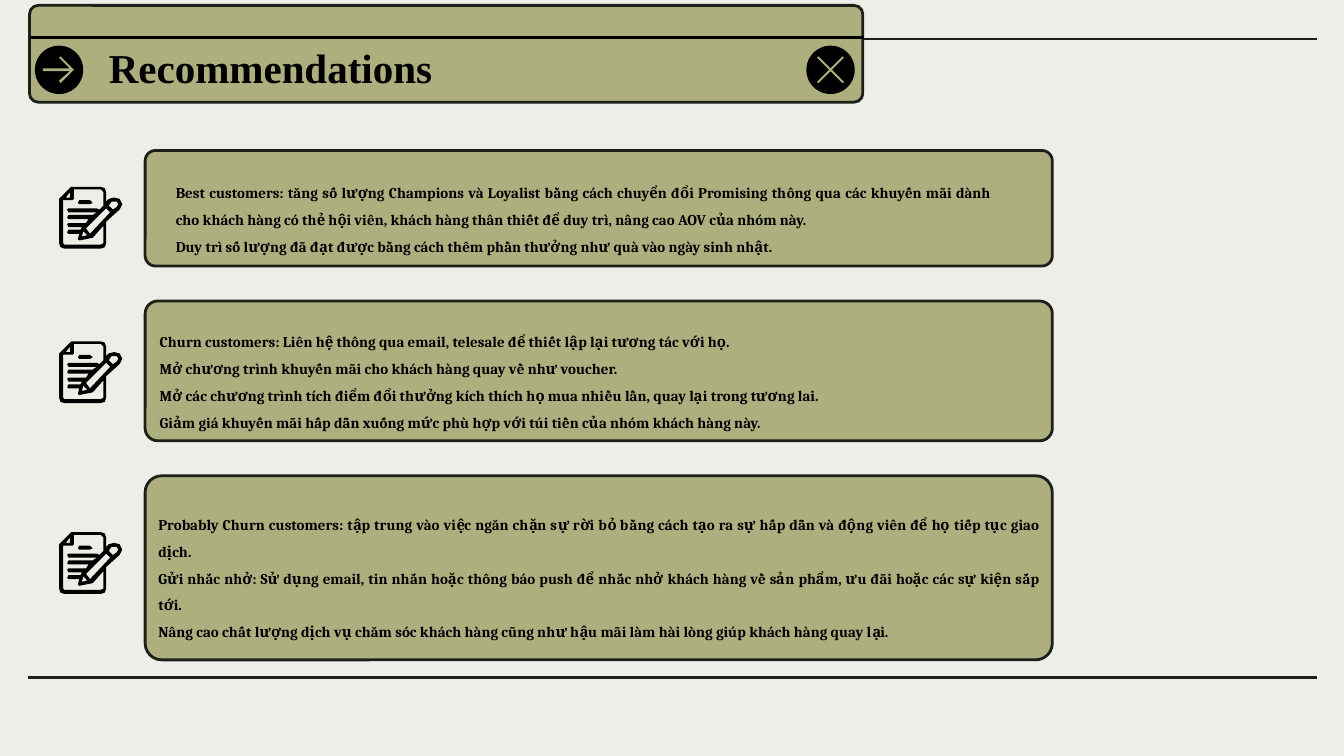
import dataclasses
import typing

import pptx
import pptx.dml.color
import pptx.enum.shapes
import pptx.enum.text
import pptx.oxml
import pptx.oxml.ns
import pptx.util

# The 16:9 page is a grid of square cells, 1000 columns wide
CELL = pptx.util.Inches(0.01)
PAGE_WIDTH = 1000 * CELL
PAGE_HEIGHT = PAGE_WIDTH * 9 // 16

PAPER = pptx.dml.color.RGBColor(0xEE, 0xEE, 0xE9)
OLIVE = pptx.dml.color.RGBColor(0xAD, 0xAF, 0x7E)
INK = pptx.dml.color.RGBColor(0x1B, 0x21, 0x19)
BLACK = pptx.dml.color.RGBColor(0, 0, 0)

TITLE_FONT = {"name": "Times New Roman", "size": pptx.util.Pt(22), "bold": True}
BODY_FONT = {"name": "Cambria", "size": pptx.util.Pt(8), "bold": True}

SHAPE = pptx.enum.shapes.MSO_SHAPE
ALIGN = pptx.enum.text.PP_ALIGN
ANCHOR = pptx.enum.text.MSO_ANCHOR

Contour = list[tuple[int, int]]


class Frame(typing.NamedTuple):
    column: int
    row: int
    columns: int
    rows: int

    def lengths(self) -> list[int]:
        return [value * CELL for value in self]


@dataclasses.dataclass
class Recommendation:
    card: Frame
    text: Frame
    icon_row: int
    lines: list[str]


@dataclasses.dataclass
class Badge:
    column: int
    symbol_column: int
    symbol: Contour


@dataclasses.dataclass
class Rule:
    first: int
    last: int
    row: int
    color: pptx.dml.color.RGBColor


RULES = [Rule(21, 980, 504, INK), Rule(21, 980, 29, INK)]
TITLE_RULE = Rule(22, 643, 28, BLACK)
TITLE_BAR = Frame(22, 4, 620, 72)

ARROW = [(13, 0), (23, 10), (13, 20), (12, 18), (20, 11), (0, 11), (0, 9), (20, 9), (12, 1)]
CROSS = [(1, 0), (0, 1), (9, 10), (0, 19), (1, 20), (10, 11),
         (19, 20), (20, 19), (11, 10), (20, 1), (19, 0), (10, 9)]
BADGES = [Badge(26, 32, ARROW), Badge(600, 608, CROSS)]

# Note icon: outer edge, sheet, folded corner, pencil end, shaft and tip
ICON_COLUMN = 44
NOTE = [
    [(9, 0), (1, 8), (0, 9), (0, 42), (1, 45), (4, 46), (31, 46), (34, 45), (35, 42),
     (35, 26), (45, 17), (47, 13), (45, 9), (41, 8), (37, 9), (35, 11), (35, 4), (34, 1), (31, 0)],
    [(31, 2), (33, 4), (33, 14), (30, 17), (28, 16), (7, 16), (6, 17), (7, 19), (28, 19),
     (25, 21), (7, 21), (6, 23), (7, 24), (22, 24), (20, 27), (7, 27), (6, 28), (7, 30),
     (17, 30), (16, 32), (7, 32), (6, 34), (7, 35), (15, 35), (14, 39), (15, 40), (25, 38),
     (33, 29), (33, 42), (31, 43), (4, 43), (3, 42), (3, 10), (10, 10), (11, 9), (11, 2)],
    [(8, 4), (8, 8), (5, 8)],
    [(41, 11), (43, 11), (44, 13), (43, 15), (40, 17), (37, 14), (39, 11)],
    [(35, 16), (38, 19), (23, 35), (20, 31)],
    [(18, 33), (21, 36), (17, 37)],
]
NOTE_DASH = [(15, 10), (14, 12), (15, 13), (23, 13), (25, 12), (23, 10)]

RECOMMENDATIONS = [
    Recommendation(Frame(108, 112, 675, 86), Frame(121, 120, 626, 90), 139, [
        "Best customers: tăng số lượng Champions và Loyalist bằng cách chuyển đổi Promising "
        "thông qua các khuyến mãi dành cho khách hàng có thẻ hội viên, khách hàng thân thiết "
        "để duy trì, nâng cao AOV của nhóm này.",
        "Duy trì số lượng đã đạt được bằng cách thêm phần thưởng như quà vào ngày sinh nhật.",
    ]),
    Recommendation(Frame(108, 224, 675, 104), Frame(109, 231, 666, 90), 254, [
        "Churn customers: Liên hệ thông qua email, telesale để thiết lập lại tương tác với họ.",
        "Mở chương trình khuyến mãi cho khách hàng quay về như voucher.",
        "Mở các chương trình tích điểm đổi thưởng kích thích họ mua nhiều lần, quay lại trong "
        "tương lai.",
        "Giảm giá khuyến mãi hấp dẫn xuống mức phù hợp với túi tiền của nhóm khách hàng này.",
    ]),
    Recommendation(Frame(108, 354, 675, 137), Frame(108, 367, 675, 156), 396, [
        "Probably Churn customers: tập trung vào việc ngăn chặn sự rời bỏ bằng cách tạo ra sự "
        "hấp dẫn và động viên để họ tiếp tục giao dịch.",
        "Gửi nhắc nhở: Sử dụng email, tin nhắn hoặc thông báo push để nhắc nhở khách hàng về "
        "sản phẩm, ưu đãi hoặc các sự kiện sắp tới.",
        "Nâng cao chất lượng dịch vụ chăm sóc khách hàng cũng như hậu mãi làm hài lòng giúp "
        "khách hàng quay lại.",
    ]),
]


def apply(target: typing.Any, values: dict[str, typing.Any]) -> None:
    for name, value in values.items():
        setattr(target, name, value)


def paint(shape, color) -> None:
    shape.shadow.inherit = False
    shape.fill.solid()
    shape.fill.fore_color.rgb = color
    shape.line.fill.background()


def draw_rule(page, rule: Rule) -> None:
    line = page.shapes.add_connector(
        pptx.enum.shapes.MSO_CONNECTOR.STRAIGHT,
        rule.first * CELL, rule.row * CELL, rule.last * CELL, rule.row * CELL)
    line.line.color.rgb = rule.color
    line.line.width = pptx.util.Pt(1.5)
    line.element.spPr.append(pptx.oxml.parse_xml(
        f"<a:effectLst {pptx.oxml.ns.nsdecls('a')}/>"))


def draw_card(page, frame: Frame) -> None:
    card = page.shapes.add_shape(SHAPE.ROUNDED_RECTANGLE, *frame.lengths())
    card.adjustments[0] = 0.09
    paint(card, OLIVE)
    card.line.color.rgb = INK
    card.line.width = pptx.util.Pt(1.5)


def draw_outline(page, column: int, row: int, contours: list[Contour], color) -> None:
    builder = page.shapes.build_freeform(*contours[0][0], scale=CELL)
    for index, contour in enumerate(contours):
        if index:
            builder.move_to(*contour[0])
        builder.add_line_segments(contour[1:], close=True)
    paint(builder.convert_to_shape(column * CELL, row * CELL), color)


def draw_badge(page, badge: Badge) -> None:
    disc = page.shapes.add_shape(SHAPE.OVAL, *Frame(badge.column, 34, 36, 36).lengths())
    paint(disc, BLACK)
    draw_outline(page, badge.symbol_column, 42, [badge.symbol], OLIVE)


def write(box, frame: Frame, lines: list[str], font: dict, anchor, para_format: dict) -> None:
    apply(box, dict(zip(("left", "top", "width", "height"), frame.lengths())))
    margins = dict.fromkeys(
        ("margin_left", "margin_top", "margin_right", "margin_bottom"), 10 * CELL)
    apply(box.text_frame, {"word_wrap": True, "vertical_anchor": anchor,
                           "auto_size": pptx.enum.text.MSO_AUTO_SIZE.NONE, **margins})
    box.text_frame.text = "\n".join(lines)
    for para in box.text_frame.paragraphs:
        apply(para, para_format)
        for span in para.runs:
            apply(span.font, font)
            span.font.color.rgb = BLACK


def main() -> None:
    deck = pptx.Presentation()
    deck.slide_width, deck.slide_height = PAGE_WIDTH, PAGE_HEIGHT
    page = deck.slides.add_slide(deck.slide_layouts.get_by_name("Title Only"))
    page.background.fill.solid()
    page.background.fill.fore_color.rgb = PAPER

    # Page rules
    for rule in RULES:
        draw_rule(page, rule)

    # Title bar, with the title brought in front of it
    draw_card(page, TITLE_BAR)
    draw_rule(page, TITLE_RULE)
    for badge in BADGES:
        draw_badge(page, badge)
    title = page.shapes.title
    write(title, Frame(71, 34, 261, 44), ["Recommendations"], TITLE_FONT,
          ANCHOR.BOTTOM, {"alignment": ALIGN.LEFT})
    title.element.getparent().append(title.element)

    # Recommendation cards with their note icons
    for item in RECOMMENDATIONS:
        draw_card(page, item.card)
        box = page.shapes.add_textbox(*item.text.lengths())
        write(box, item.text, item.lines, BODY_FONT, ANCHOR.TOP,
              {"alignment": ALIGN.JUSTIFY, "line_spacing": 1.5})
        draw_outline(page, ICON_COLUMN, item.icon_row, NOTE, BLACK)
        draw_outline(page, ICON_COLUMN, item.icon_row, [NOTE_DASH], BLACK)

    deck.save("out.pptx")


if __name__ == "__main__":
    main()
